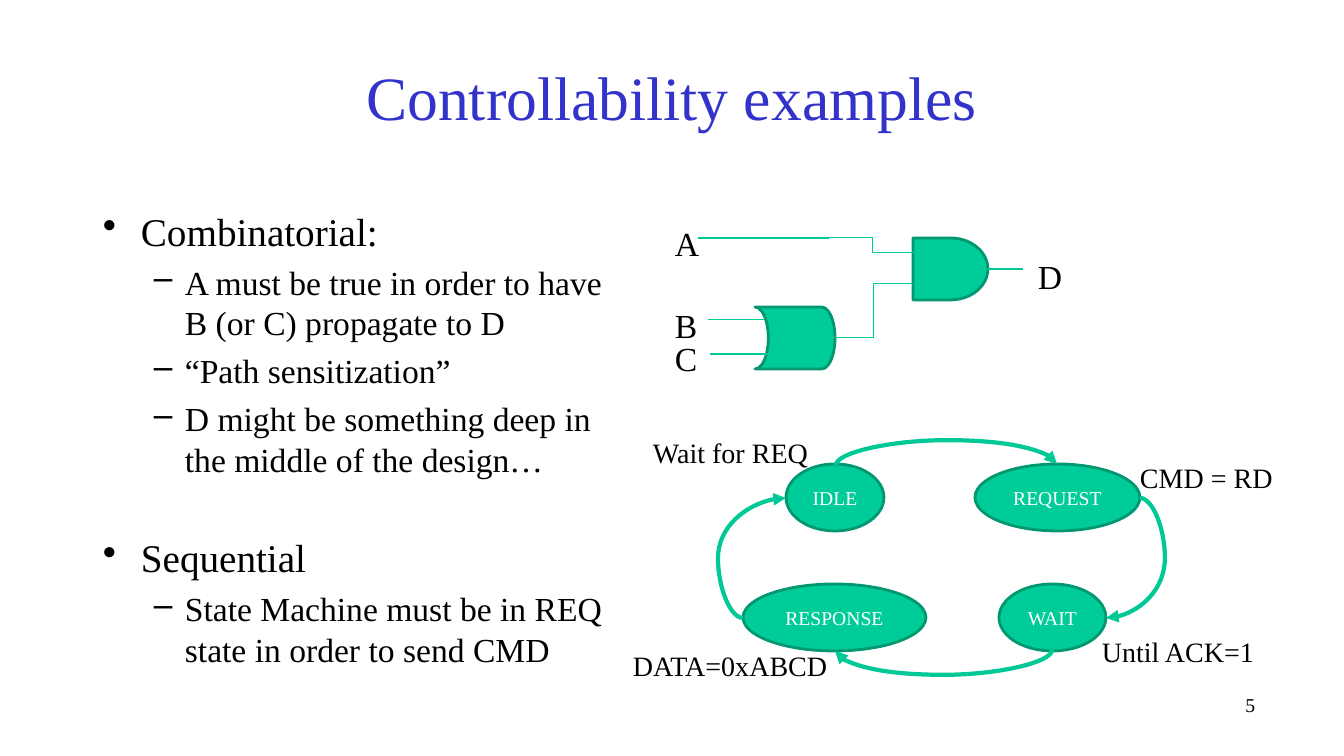
from lxml import etree
from pptx import Presentation
from pptx.dml.color import RGBColor
from pptx.enum.shapes import MSO_CONNECTOR, MSO_SHAPE
from pptx.enum.text import MSO_ANCHOR, PP_ALIGN
from pptx.oxml.ns import qn
from pptx.util import Pt

SCALE = 914400 / 100.8
FONT = "Times New Roman"
BLACK = RGBColor(0x00, 0x00, 0x00)
WHITE = RGBColor(0xFF, 0xFF, 0xFF)
BLUE = RGBColor(0x33, 0x33, 0xCC)
GREEN = RGBColor(0x00, 0xCC, 0x99)
WIRE_GREEN = RGBColor(0x00, 0xC8, 0x96)
EDGE_GREEN = RGBColor(0x00, 0x97, 0x71)
STRAIGHT, ELBOW, CURVE = MSO_CONNECTOR.STRAIGHT, MSO_CONNECTOR.ELBOW, MSO_CONNECTOR.CURVE
DELAY, STORED_DATA = MSO_SHAPE.FLOWCHART_DELAY, MSO_SHAPE.FLOWCHART_STORED_DATA
STATE = MSO_SHAPE.FLOWCHART_CONNECTOR
LEFT, CENTER, RIGHT = PP_ALIGN.LEFT, PP_ALIGN.CENTER, PP_ALIGN.RIGHT
TOP, MIDDLE = MSO_ANCHOR.TOP, MSO_ANCHOR.MIDDLE

# Per outline level: bullet, size, space before (points), left margin, hanging indent (pixels)
LEVELS = [("•", 28, 6.5, 38, 38), ("–", 24, 5.5, 82, 31)]
SECTION_GAP = 39
OUTLINE = [
    (0, "Combinatorial:"),
    (1, "A must be true in order to have B (or C) propagate to D"),
    (1, "“Path sensitization”"),
    (1, "D might be something deep in the middle of the design…"),
    (0, "Sequential"),
    (1, "State Machine must be in REQ state in order to send CMD"),
]


def px(*lengths):
    """Turn pixel lengths into EMU."""
    return [round(length * SCALE) for length in lengths]


def style(para, size, color=BLACK, align=LEFT):
    """Set the font and alignment of a paragraph."""
    para.alignment = align
    para.font.name, para.font.size, para.font.color.rgb = FONT, Pt(size), color


def add_text(page, box, text, size, color=BLACK, align=LEFT, anchor=TOP, wrap=False):
    """Add a one-paragraph text box."""
    frame = page.shapes.add_textbox(*px(*box)).text_frame
    frame.word_wrap, frame.vertical_anchor = wrap, anchor
    frame.text = text
    style(frame.paragraphs[0], size, color, align)


def add_solid(page, kind, box):
    """Add a green outlined shape."""
    shape = page.shapes.add_shape(kind, *px(*box))
    shape.shadow.inherit = False
    shape.fill.solid()
    shape.fill.fore_color.rgb = GREEN
    shape.line.color.rgb, shape.line.width = EDGE_GREEN, Pt(2)
    return shape


def add_wire(page, kind, start, end, width=0.75):
    """Add a green connector without a shadow."""
    wire = page.shapes.add_connector(kind, *px(*start, *end))
    wire.line.color.rgb, wire.line.width = WIRE_GREEN, Pt(width)
    etree.SubElement(wire._element.spPr, qn("a:effectLst"))
    return wire


def add_transition(page, start, end, bulge, vertical):
    """Add a curved arrow bulging outwards; a vertical bulge needs a quarter turn."""
    if vertical:
        middle_x, middle_y = (start[0] + end[0]) / 2, (start[1] + end[1]) / 2
        start, end = [(middle_x + y - middle_y, middle_y - x + middle_x)
                      for x, y in (start, end)]
    arrow = add_wire(page, CURVE, start, end, 3)
    properties = arrow._element.spPr
    if vertical:
        properties.find(qn("a:xfrm")).set("rot", "5400000")
    ratio = bulge / (end[0] - start[0])
    guides = properties.find(qn("a:prstGeom")).get_or_add_avLst()
    etree.SubElement(guides, qn("a:gd"), name="adj1", fmla=f"val {round(ratio * 100000)}")
    etree.SubElement(arrow.line._get_or_add_ln(), qn("a:tailEnd"), type="triangle")


def add_outline(page, box):
    """Add the two-level bulleted list."""
    frame = page.shapes.add_textbox(*px(*box)).text_frame
    frame.word_wrap = True
    for index, (level, text) in enumerate(OUTLINE):
        para = frame.add_paragraph() if index else frame.paragraphs[0]
        bullet, size, gap, margin, hanging = LEVELS[level]
        para.text, para.level = text, level
        style(para, size)
        para.space_before = Pt(SECTION_GAP if index and level == 0 else gap)
        properties = para._p.get_or_add_pPr()
        properties.set("marL", str(px(margin)[0]))
        properties.set("indent", str(px(-hanging)[0]))
        etree.SubElement(properties, qn("a:buChar"), char=bullet)


def add_circuit(page, left, top):
    """Draw the gates, their wires and the signal names."""
    def at(x, y):
        return left + x, top + y

    add_solid(page, DELAY, (*at(248, 20), 75, 62))
    add_solid(page, STORED_DATA, (*at(90, 89), 80, 62)).rotation = 180
    wires = [
        (ELBOW, (164, 20), (252, 35)),
        (ELBOW, (170, 120), (248, 66)),
        (STRAIGHT, (323, 51), (358, 51)),
        (STRAIGHT, (33, 20), (164, 20)),
        (STRAIGHT, (43, 102), (99, 102)),
        (STRAIGHT, (45, 136), (102, 136)),
    ]
    for kind, start, end in wires:
        add_wire(page, kind, at(*start), at(*end))
    for name, x, y in [("A", 0, 0), ("B", 0, 82), ("C", 0, 115), ("D", 363, 33)]:
        add_text(page, (*at(x, y), 24, 40), name, 24)


def add_state_machine(page, left, top):
    """Draw the four states, the arrows between them and their conditions."""
    def at(x, y):
        return left + x, top + y

    states = [("IDLE", 163, 33, 98), ("REQUEST", 352, 33, 165),
              ("WAIT", 376, 153, 107), ("RESPONSE", 120, 153, 183)]
    for name, x, y, width in states:
        frame = add_solid(page, STATE, (*at(x, y), width, 67)).text_frame
        frame.word_wrap, frame.vertical_anchor = False, MIDDLE
        frame.text = name
        style(frame.paragraphs[0], 14, WHITE, CENTER)
    transitions = [
        ((213, 34), (434, 33), -25, True),
        ((517, 67), (483, 187), 25, False),
        ((429, 219), (212, 220), 25, True),
        ((120, 187), (163, 67), -25, False),
    ]
    for start, end, bulge, vertical in transitions:
        add_transition(page, at(*start), at(*end), bulge, vertical)
    conditions = [("CMD = RD", 507, 25, 154), ("Until ACK=1", 469, 199, 173),
                  ("DATA=0xABCD", 0, 213, 217), ("Wait for REQ", 20, 0, 176)]
    for text, x, y, width in conditions:
        add_text(page, (*at(x, y), width, 44), text, 20)


def main():
    """Build and save the deck."""
    deck = Presentation()
    deck.slide_width, deck.slide_height = px(1344, 756)
    page = deck.slides.add_slide(deck.slide_layouts[6])
    add_text(page, (840, 688, 425, 50), "5", 14, align=RIGHT, wrap=True)
    add_text(page, (101, 33, 1142, 126), "Controllability examples", 44, BLUE, CENTER, MIDDLE, True)
    add_outline(page, (93, 202, 520, 480))
    add_circuit(page, 665, 218)
    add_state_machine(page, 623, 431)
    deck.save("out.pptx")


main()
